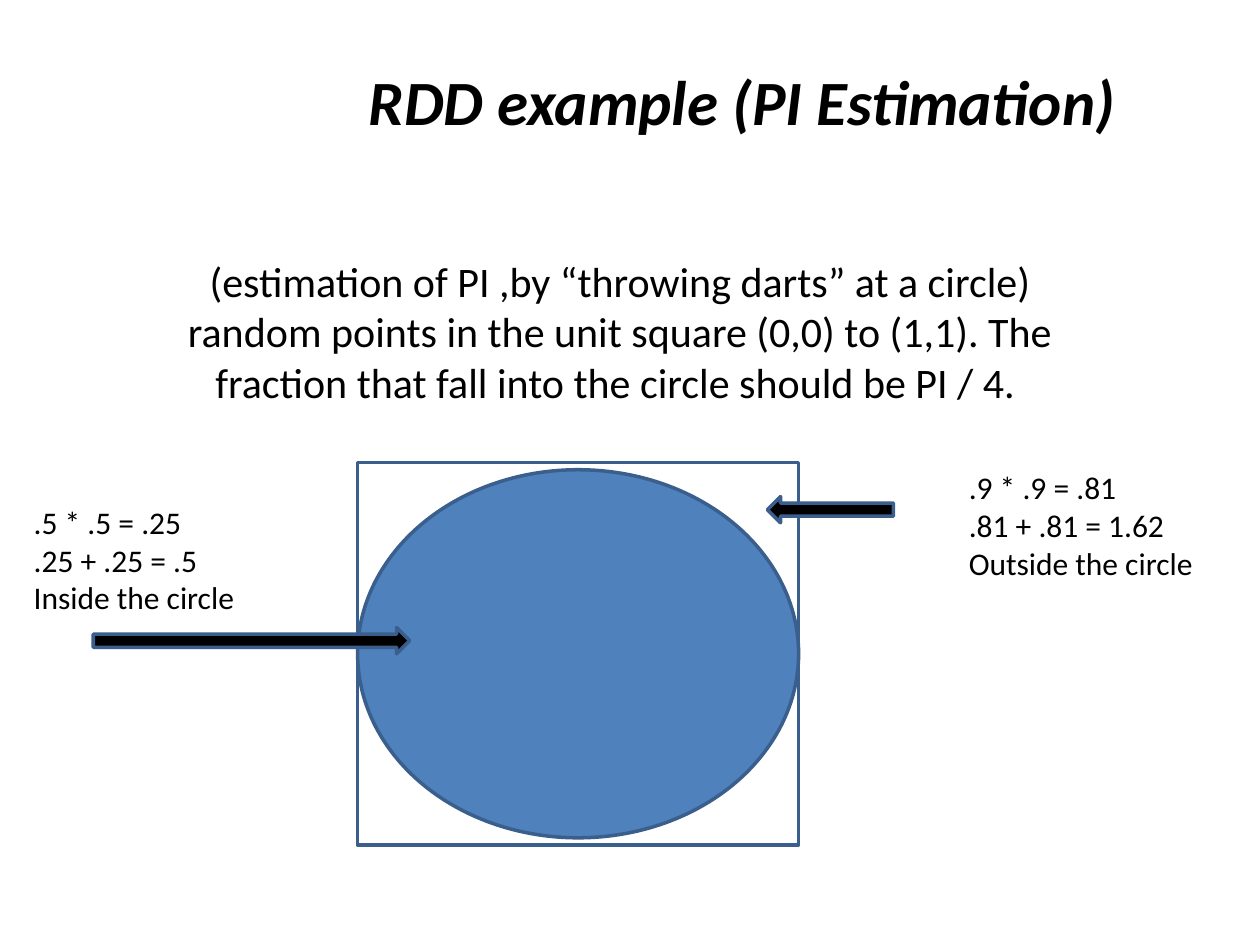
from dataclasses import dataclass

from pptx import Presentation
from pptx.dml.color import RGBColor
from pptx.enum.shapes import MSO_SHAPE as Shape
from pptx.enum.text import MSO_ANCHOR as Anchor, MSO_AUTO_SIZE as AutoSize, PP_ALIGN as Align
from pptx.util import Cm, Pt


@dataclass(frozen=True)
class Theme:
    font: str = "Calibri"
    ink: RGBColor = RGBColor(0, 0, 0)
    circle: RGBColor = RGBColor(0x4F, 0x81, 0xBD)
    outline: RGBColor = RGBColor(0x3A, 0x5F, 0x8C)
    line: Pt = Pt(2)
    heading: Pt = Pt(36)
    statement: Pt = Pt(24)
    note: Pt = Pt(18)


THEME = Theme()


def cm(box):
    return [Cm(v) for v in box]


def write(tf, paragraphs, align, **font):
    """Fill a text frame; a vertical tab inside a paragraph is a line break."""
    tf.text = "\n".join(paragraphs)
    formats = {"name": THEME.font, **font}
    for p in tf.paragraphs:
        p.alignment = align
        for r in p.runs:
            r.font.color.rgb = THEME.ink
            for name, value in formats.items():
                setattr(r.font, name, value)


def add_heading(slide, box, text):
    tf = slide.shapes.add_textbox(*cm(box)).text_frame
    tf.word_wrap = True
    tf.vertical_anchor = Anchor.MIDDLE
    write(tf, [text], Align.CENTER, size=THEME.heading, bold=True, italic=True)


def add_statement(slide, box, lines):
    title = slide.shapes.title
    for name, value in zip(("left", "top", "width", "height"), cm(box)):
        setattr(title, name, value)
    tf = title.text_frame
    tf.auto_size = AutoSize.NONE
    tf.vertical_anchor = Anchor.MIDDLE
    write(tf, ["\v".join(lines)], Align.CENTER, size=THEME.statement)


def add_outlined(slide, kind, box, fill=None):
    sp = slide.shapes.add_shape(kind, *cm(box))
    sp.shadow.inherit = False
    if fill is None:
        sp.fill.background()
    else:
        sp.fill.solid()
        sp.fill.fore_color.rgb = fill
    sp.line.color.rgb = THEME.outline
    sp.line.width = THEME.line
    return sp


def add_target(slide, box):
    """Circle in its square, with an arrow to a point outside and one inside."""
    x, y, w, h = box
    gap, thick = 0.15, 0.53
    add_outlined(slide, Shape.FLOWCHART_CONNECTOR, (x, y + gap, w, h - 2 * gap), THEME.circle)
    add_outlined(slide, Shape.RECTANGLE, box)
    arrows = [
        (x + w - 0.63, y + 0.69, 2.54, 0),
        (x - 5.33, y + 3.33, 6.38, 180),
    ]
    for left, top, length, turn in arrows:
        arrow = add_outlined(slide, Shape.LEFT_ARROW, (left, top, length, thick), THEME.ink)
        arrow.rotation = turn


def add_note(slide, box, lines):
    tf = slide.shapes.add_textbox(*cm(box)).text_frame
    tf.word_wrap = False
    tf.auto_size = AutoSize.SHAPE_TO_FIT_TEXT
    write(tf, lines, Align.LEFT, size=THEME.note)


def main():
    prs = Presentation()
    prs.slide_width, prs.slide_height = Cm(25.4), Cm(19.05)
    slide = prs.slides.add_slide(prs.slide_layouts[5])

    add_statement(slide, (1.07, 5.08, 22.86, 3.18), [
        "(estimation of PI ,by “throwing darts” at a circle)",
        " random points in the unit square (0,0) to (1,1). The ",
        "fraction that fall into the circle should be PI / 4. ",
    ])
    add_target(slide, (7.21, 9.32, 8.89, 7.72))
    add_note(slide, (19.28, 9.32, 5.08, 2.57),
             [".9 * .9 = .81", ".81 + .81 = 1.62", "Outside the circle"])
    add_note(slide, (0.43, 10.01, 4.6, 2.57),
             [".5 * .5 = .25", ".25 + .25 = .5", "Inside the circle"])
    add_heading(slide, (3.53, 0.43, 22.86, 3.18), "RDD example (PI Estimation)")

    prs.save("out.pptx")


if __name__ == "__main__":
    main()
